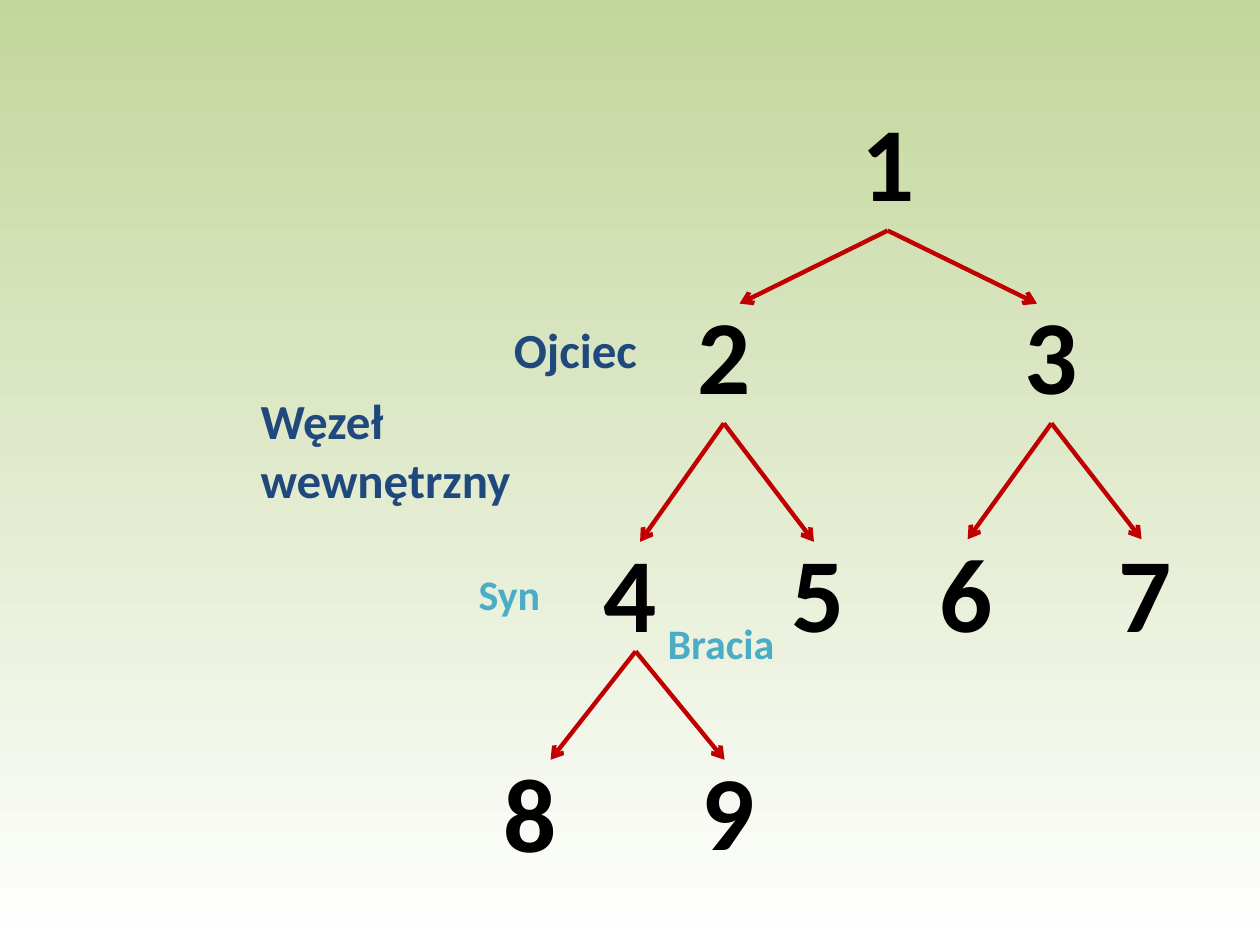
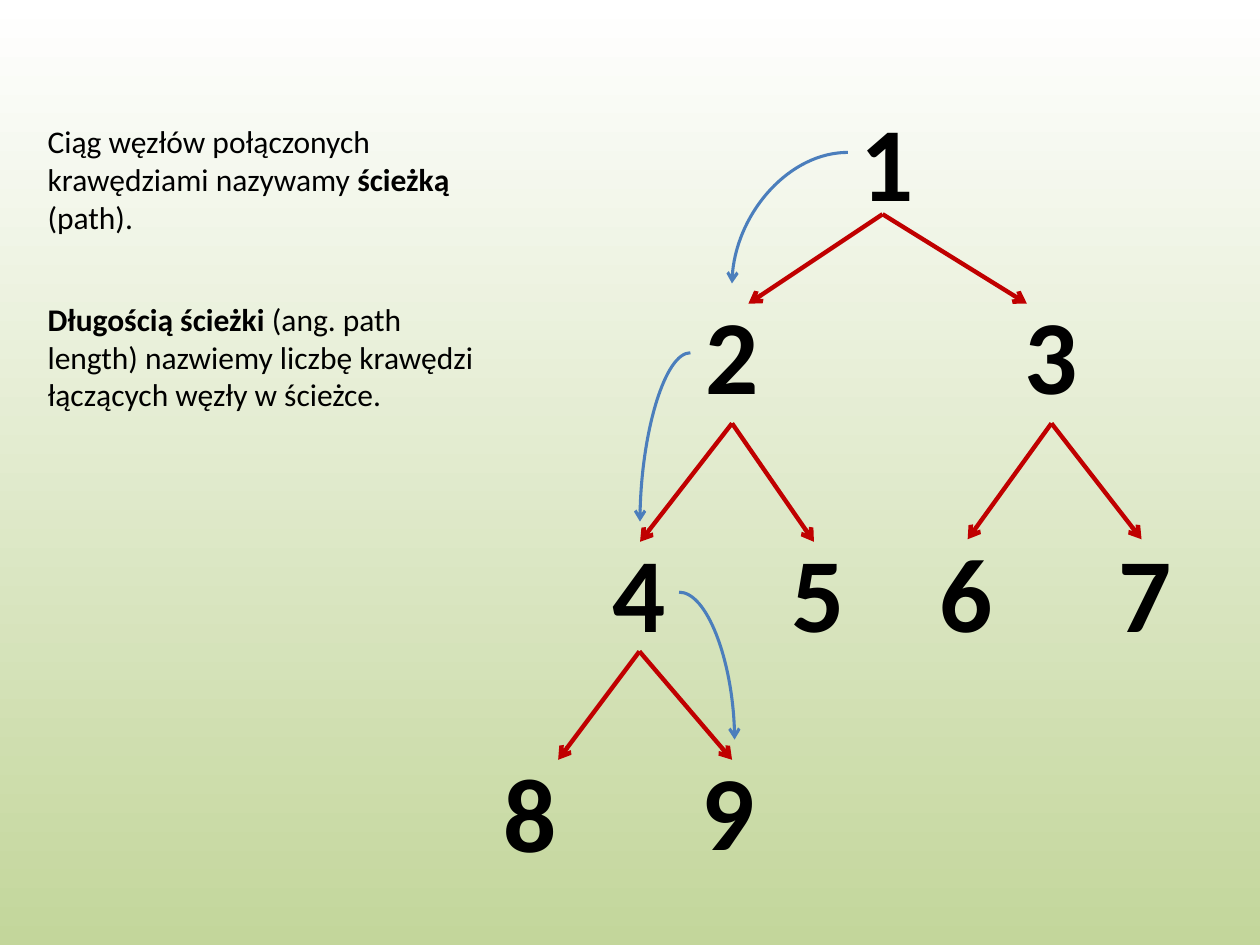
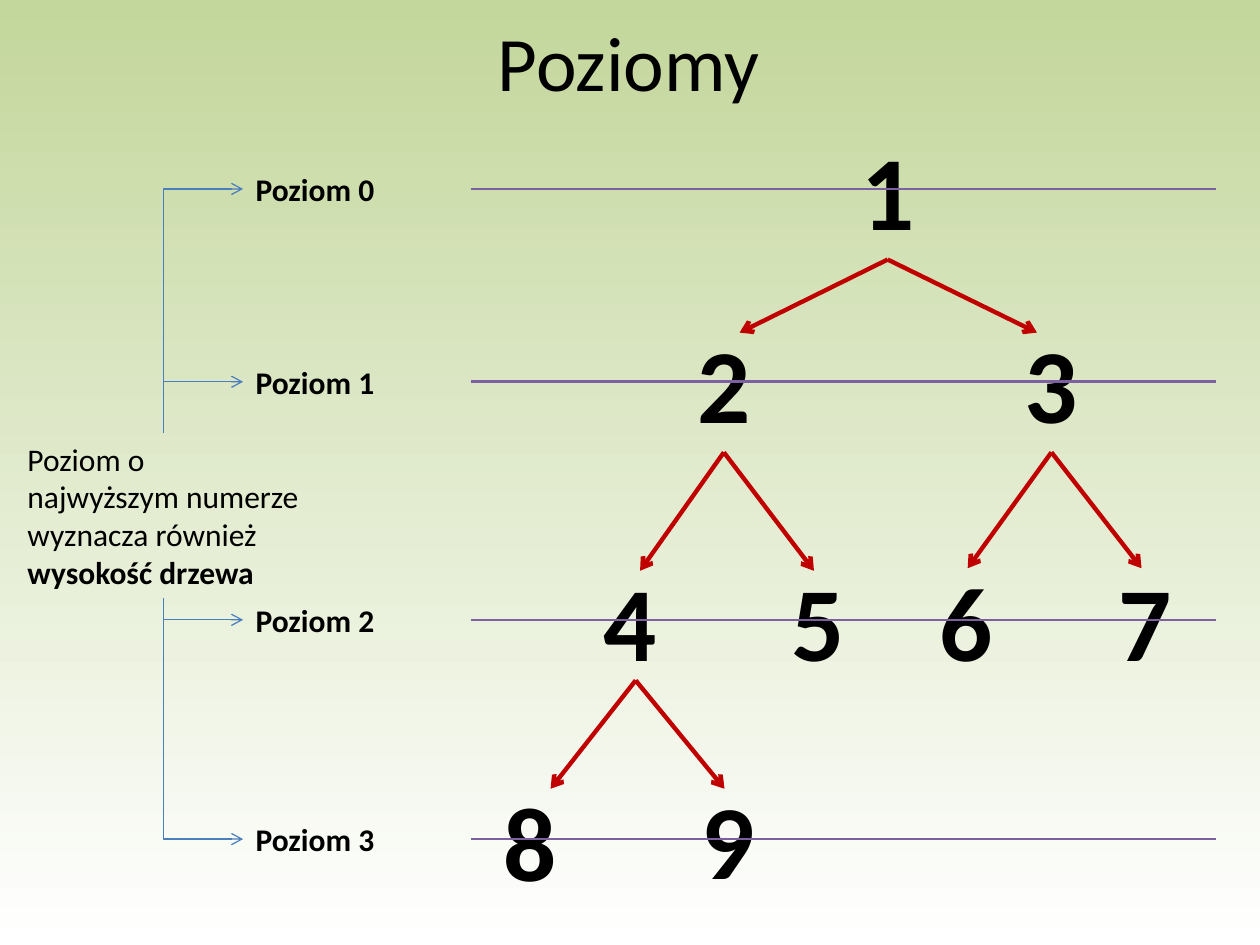
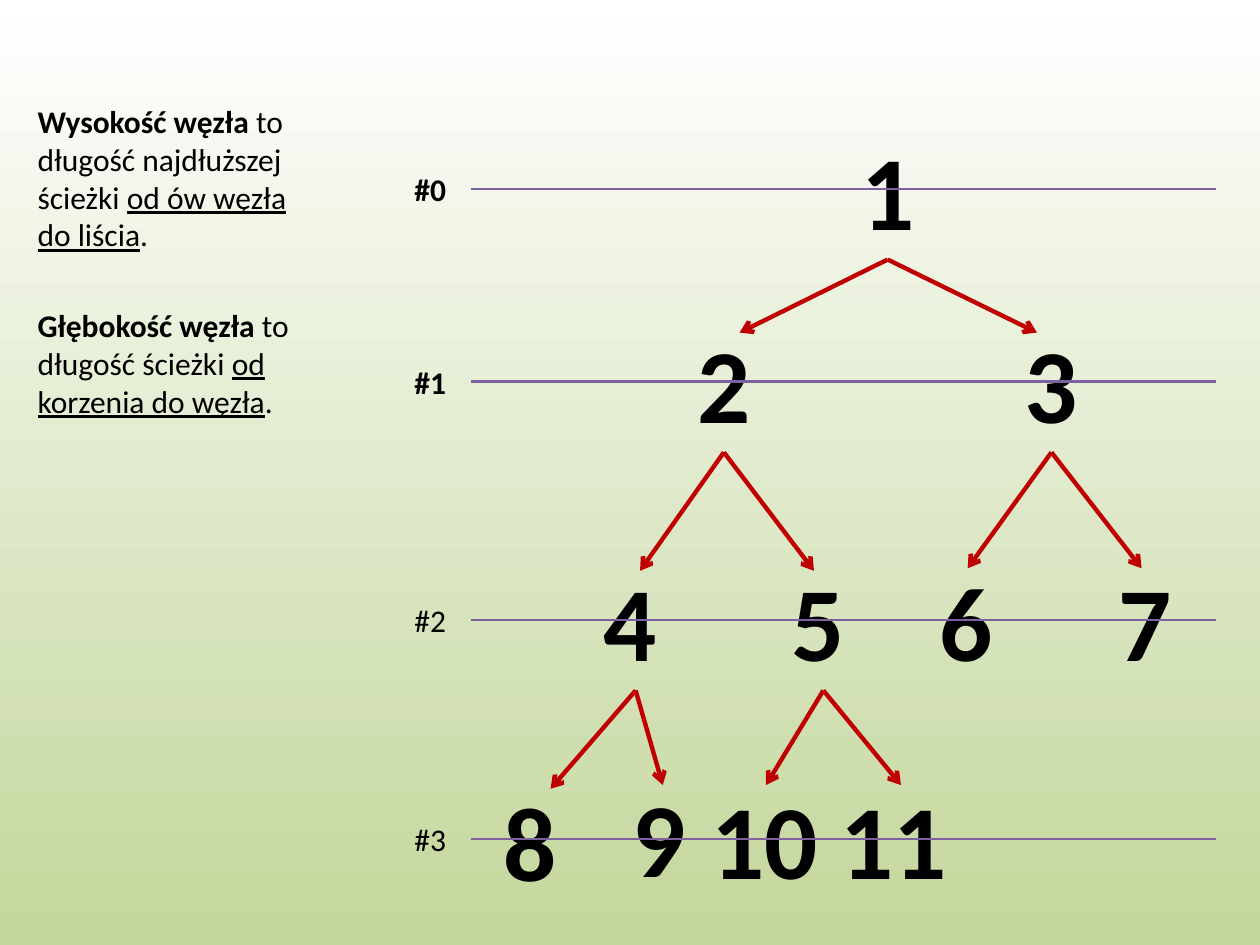
from pptx import Presentation, util as u
from pptx.dml.color import RGBColor
from pptx.enum import shapes, text
from pptx.oxml.ns import qn
from lxml import etree

PX = 9144  # EMU in one px, 100 px to the inch
COLOURS = {"green": "C3D69B", "white": "FFFFFF", "black": "000000", "navy": "1F497D",
           "teal": "4BACC6", "red": "C00000", "blue": "4B7EBC", "purple": "7D60A0"}
FONT = "Calibri"
NODE_HEIGHT = 111
LEVEL_SHIFT = 23  # the trees with levels stand this much lower
LEVELS = [top + LEVEL_SHIFT + 55 for top in (72, 225, 414, 588)]
STRAIGHT, ELBOW, CURVE = (shapes.MSO_CONNECTOR.STRAIGHT, shapes.MSO_CONNECTOR.ELBOW,
                          shapes.MSO_CONNECTOR.CURVE)


def write(slide, box, content, size=18, colour="black", bold=False, centred=False, grow=True):
    """Add a text box; content is a string or a list of (text, marks), marks from "b" and "u"."""
    area = slide.shapes.add_textbox(*(u.Emu(v * PX) for v in box))
    frame = area.text_frame
    frame.word_wrap = True
    if grow:
        frame.auto_size = text.MSO_AUTO_SIZE.SHAPE_TO_FIT_TEXT
    else:
        frame.vertical_anchor = text.MSO_ANCHOR.MIDDLE
    paragraph = frame.paragraphs[0]
    paragraph.alignment = text.PP_ALIGN.CENTER if centred else text.PP_ALIGN.LEFT
    if isinstance(content, str):
        content = [(content, "b" if bold else "")]
    for words, marks in content:
        run = paragraph.add_run()
        run.text = words
        run.font.name = FONT
        run.font.size = u.Pt(size)
        run.font.bold = "b" in marks
        run.font.underline = "u" in marks
        run.font.color.rgb = RGBColor.from_string(COLOURS[colour])
    return area


def link(slide, start, end, colour, width, kind=STRAIGHT, arrow=None):
    """Draw a connector; arrow is "headEnd" (at start), "tailEnd" (at end) or None."""
    line = slide.shapes.add_connector(kind, *(u.Emu(round(v * PX)) for v in (*start, *end)))
    line.line.color.rgb = RGBColor.from_string(COLOURS[colour])
    line.line.width = u.Pt(width)
    properties = line._element.spPr
    if kind != STRAIGHT:  # one bend: sideways first, then up or down
        geometry = properties.find(qn("a:prstGeom"))
        geometry.set("prst", geometry.get("prst").replace("3", "2"))
    if arrow:
        etree.SubElement(properties.find(qn("a:ln")), qn(f"a:{arrow}"), type="arrow")
    etree.SubElement(properties, qn("a:effectLst"))
    return line


# Node: left, top, width
nodes = {"1": (563, 72, 283), "2": (492, 225, 165), "3": (752, 225, 165),
         "4": (469, 414, 71), "5": (618, 414, 71), "6": (736, 414, 71),
         "7": (878, 414, 71), "8": (390, 588, 71), "9": (547, 587, 71)}
# Parent: height of the arrows' start above the node's bottom, then the arrow tips
edges = {"1": (0, (587, 241), (823, 241)), "2": (0, (508, 430), (646, 430)),
         "3": (0, (768, 428), (906, 428)), "4": (8, (437, 603), (575, 603))}

path_nodes = nodes | {"1": (673, 72, 55), "2": (548, 225, 66), "4": (476, 414, 63)}
path_edges = edges | {"1": (13, (594, 241), (815, 241)), "4": (8, (443, 603), (581, 603))}
height_nodes = nodes | {"9": (492, 585, 71), "10": (555, 587, 106), "11": (657, 587, 115)}
height_edges = edges | {"4": (0, (437, 603), (526, 600)), "5": (0, (608, 600), (715, 600))}

trees = [("green", "white", nodes, edges, 0),
         ("white", "green", path_nodes, path_edges, 0),
         ("green", "white", nodes, edges, LEVEL_SHIFT),
         ("white", "green", height_nodes, height_edges, LEVEL_SHIFT)]

deck = Presentation()
deck.slide_width, deck.slide_height = u.Emu(1000 * PX), u.Emu(750 * PX)

# Background, tree and level lines of every slide
for upper, lower, tree_nodes, tree_edges, shift in trees:
    slide = deck.slides.add_slide(deck.slide_layouts[6])
    fill = slide.background.fill
    fill.gradient()
    fill.gradient_angle = 270
    for stop, colour in zip(fill.gradient_stops, (upper, lower)):
        stop.color.rgb = RGBColor.from_string(COLOURS[colour])

    drawn = {}
    for number, (left, top, width) in tree_nodes.items():
        drawn[number] = write(slide, (left, top + shift, width, NODE_HEIGHT), number,
                              size=60, bold=True, centred=number in "123")
    for parent, (lift, *tips) in tree_edges.items():
        left, top, width = tree_nodes[parent]
        start = (left + width / 2, top + shift + NODE_HEIGHT - lift)
        for x, y in tips:
            arrow = link(slide, start, (x, y + shift), "red", 2.5, arrow="tailEnd")
            if not lift:
                arrow.begin_connect(drawn[parent], 2)
    if shift:
        for y in LEVELS:
            link(slide, (374, y), (965, y), "purple", 1.5)

kinship, path_length, levels, heights = deck.slides

# Names of the nodes
for box, name, size, colour in [((398, 249, 126, 57), "Ojciec", 28, "navy"),
                                ((370, 446, 75, 50), "Syn", 24, "teal"),
                                ((520, 485, 110, 50), "Bracia", 24, "teal"),
                                ((197, 305, 236, 104), "Węzeł wewnętrzny", 28, "navy")]:
    write(kinship, box, name, size=size, colour=colour, bold=True)

# The path 1, 2, 4, 9
for start, end in [((673, 121), (581, 225)), ((548, 280), (508, 414)), ((539, 470), (583, 587))]:
    link(path_length, start, end, "blue", 1.75, CURVE, "tailEnd")
write(path_length, (28, 92, 370, 101),
      [("Ciąg węzłów połączonych krawędziami nazywamy ", ""), ("ścieżką ", "b"), ("(path).", "")])
write(path_length, (28, 233, 370, 101),
      [("Długością ścieżki", "b"),
       (" (ang. path length) nazwiemy liczbę krawędzi łączących węzły w ścieżce.", "")])

# Levels, and the note that points at each of them
write(levels, (49, 5, 900, 87), "Poziomy", size=44, centred=True, grow=False)
write(levels, (12, 344, 236, 131),
      [("Poziom o najwyższym numerze wyznacza również ", ""), ("wysokość drzewa", "b")])
for level, y in enumerate(LEVELS):
    write(levels, (193, y - 20, 205, 40), f"Poziom {level}", bold=True)
    note_edge = 344 if level < 2 else 475
    link(levels, (193, y), (130, note_edge), "blue", 0.75, ELBOW, "headEnd")
    write(heights, (319, y - 20, 49, 40), f"#{level}", bold=level < 2)

# Height and depth of a node
write(heights, (20, 76, 236, 131),
      [("Wysokość węzła ", "b"), ("to długość najdłuższej ścieżki ", ""),
       ("od ów węzła do liścia", "u"), (".", "")])
write(heights, (20, 238, 236, 101),
      [("Głębokość węzła ", "b"), ("to długość ścieżki ", ""),
       ("od korzenia do węzła", "u"), (".", "")])

deck.save("out.pptx")
